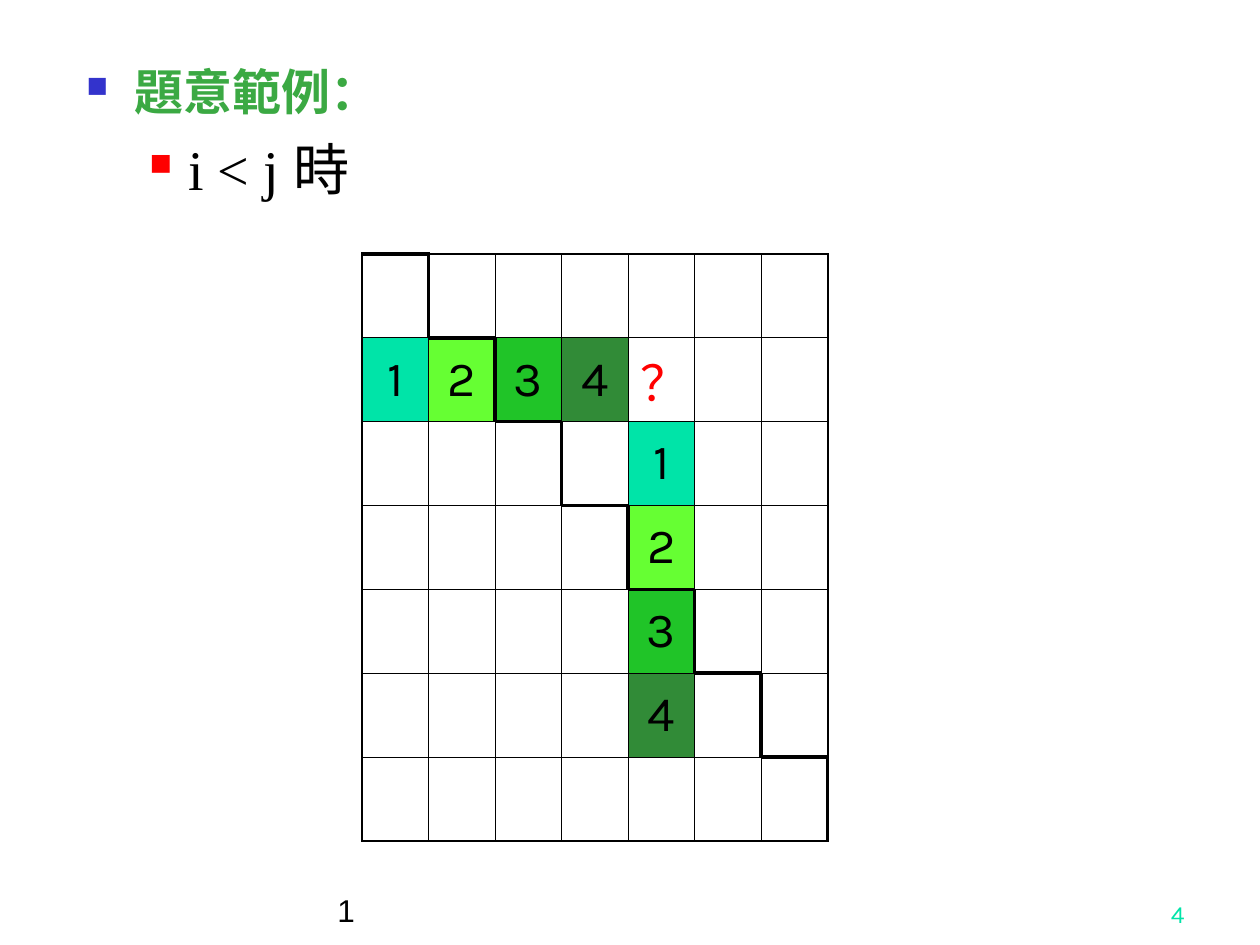
from dataclasses import dataclass

import pptx
import pptx.dml.color
import pptx.enum.text
import pptx.oxml.ns
import pptx.util
from lxml import etree

ALIGN = pptx.enum.text.PP_ALIGN
ANCHOR = pptx.enum.text.MSO_ANCHOR


@dataclass(frozen=True)
class Theme:
    black: str = "000000"
    white: str = "FFFFFF"
    red: str = "FF0000"
    blue: str = "3333CC"
    heading: str = "3BA943"
    teal: str = "00E4A8"
    steps: tuple = ("00E4A8", "66FF33", "20C428", "318B37")
    serif: str = "Times New Roman"
    sans: str = "Arial"
    grid_font: str = "Karla"
    heading_size: int = 28
    item_size: int = 32
    cell_size: int = 28
    footer_size: int = 18
    number_size: int = 14
    thin: float = 0.45
    outer: float = 1.08
    thick: float = 2.21


def px(n):
    return pptx.util.Emu(round(n * 914400 / 126))


def sub(parent, tag, **attrs):
    return etree.SubElement(parent, pptx.oxml.ns.qn(tag), attrs)


class SlideBuilder:
    def __init__(self, prs, theme):
        self.theme = theme
        self.slide = prs.slides.add_slide(prs.slide_layouts[6])

    def set_text(self, p, text, font, size, color, bold=False):
        p.text = text
        for r in p.runs:
            r.font.name = font
            r.font.size = pptx.util.Pt(size)
            r.font.bold = bold
            r.font.color.rgb = pptx.dml.color.RGBColor.from_string(color)

    def text_box(self, x, y, w, h, anchor=ANCHOR.TOP):
        sp = self.slide.shapes.add_textbox(px(x), px(y), px(w), px(h))
        tf = sp.text_frame
        tf.word_wrap = True
        tf.vertical_anchor = anchor
        return tf

    def bullet(self, p, color, percent, margin, hanging):
        pPr = p._p.get_or_add_pPr()
        pPr.set("marL", str(px(margin)))
        pPr.set("indent", str(-px(hanging)))
        sub(sub(pPr, "a:buClr"), "a:srgbClr", val=color)
        sub(pPr, "a:buSzPct", val=str(percent * 1000))
        sub(pPr, "a:buChar", char="■")

    def label(self, x, y, w, h, text, font, size, color, align):
        p = self.text_box(x, y, w, h, ANCHOR.BOTTOM).paragraphs[0]
        p.alignment = align
        self.set_text(p, text, font, size, color)

    def borders(self, cell, widths):
        """Draw the cell's borders; widths are left, right, top, bottom."""
        tcPr = cell._tc.get_or_add_tcPr()
        for side, width in zip("LRTB", widths):
            ln = sub(tcPr, f"a:ln{side}", w=str(pptx.util.Pt(width)))
            sub(sub(ln, "a:solidFill"), "a:srgbClr", val=self.theme.black)

    def stair_grid(self, x, y, w, h, n, entries):
        """Square grid with a thick staircase above its diagonal.

        entries maps (row, column) to (text, fill, text colour).
        """
        t = self.theme
        table = self.slide.shapes.add_table(n, n, px(x), px(y), px(w), px(h)).table
        table.first_row = table.horz_banding = False

        def width(on_stair, on_edge):
            return t.thick if on_stair else t.outer if on_edge else t.thin

        for i in range(n):
            for j in range(n):
                cell = table.cell(i, j)
                diagonal, beside = i == j, j == i + 1
                self.borders(cell, (
                    width(beside, j == 0),
                    width(diagonal, j == n - 1),
                    width(diagonal, i == 0),
                    width(beside, i == n - 1),
                ))
                text, fill, color = entries.get((i, j), ("", t.white, t.black))
                cell.fill.solid()
                cell.fill.fore_color.rgb = pptx.dml.color.RGBColor.from_string(fill)
                cell.vertical_anchor = ANCHOR.MIDDLE
                p = cell.text_frame.paragraphs[0]
                p.alignment = ALIGN.CENTER
                if text:
                    self.set_text(p, text, t.grid_font, t.cell_size, color)


def main():
    prs = pptx.Presentation()
    prs.slide_width, prs.slide_height = px(1260), px(945)
    t = Theme()
    s = SlideBuilder(prs, t)

    tf = s.text_box(74, 55, 1142, 170)
    heading = tf.paragraphs[0]
    s.bullet(heading, t.blue, 60, 48, 48)
    s.set_text(heading, "題意範例：", t.serif, t.heading_size, t.heading, bold=True)
    item = tf.add_paragraph()
    s.bullet(item, t.red, 55, 102, 39)
    item.space_before = pptx.util.Pt(8)
    s.set_text(item, "i < j 時", t.serif, t.item_size, t.black)

    row, col = 1, 4
    entries = {(row, col): ("？", t.white, t.red)}
    for k, fill in enumerate(t.steps):
        step = (str(k + 1), fill, t.black)
        entries[row, k] = step
        entries[row + 1 + k, col] = step
    s.stair_grid(362, 254, 466, 587, 7, entries)

    s.label(325, 872, 683, 63, "1", t.sans, t.footer_size, t.black, ALIGN.LEFT)
    s.label(935, 872, 262, 63, "4", t.grid_font, t.number_size, t.teal, ALIGN.RIGHT)
    prs.save("out.pptx")


if __name__ == "__main__":
    main()
